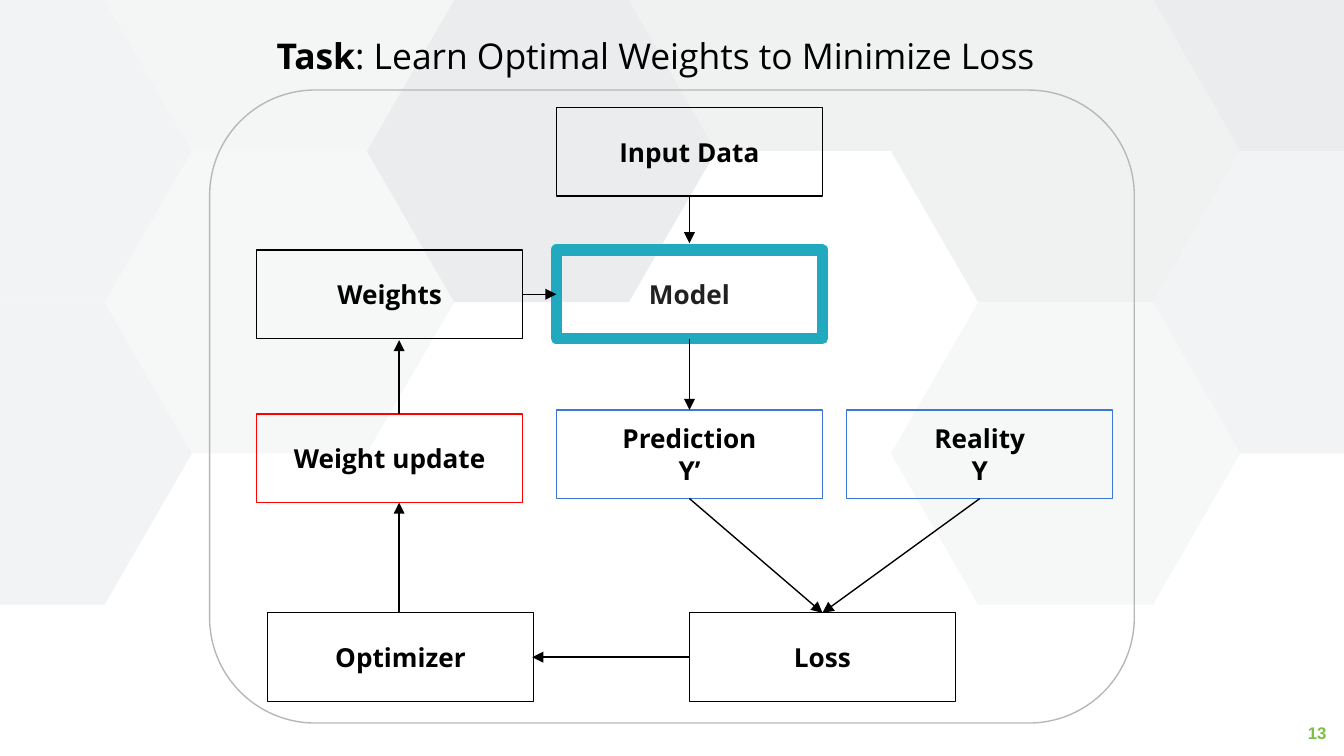
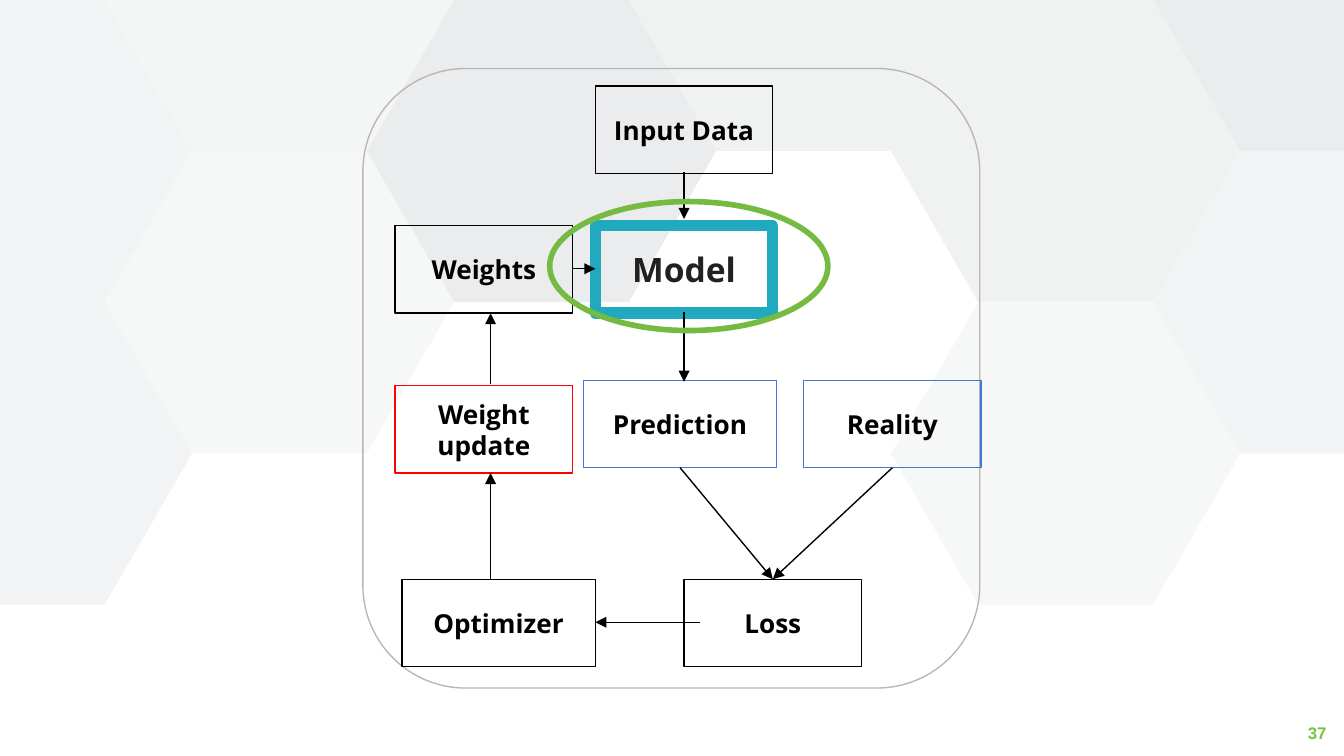
"""Build two slides that show the training loop of a model as a flow diagram."""
from dataclasses import dataclass

from lxml.etree import SubElement
from pptx import Presentation
from pptx.dml.color import RGBColor
from pptx.enum.shapes import MSO_CONNECTOR, MSO_SHAPE
from pptx.enum.text import MSO_ANCHOR, MSO_AUTO_SIZE, PP_ALIGN
from pptx.oxml.ns import qn
from pptx.util import Inches, Pt


@dataclass(frozen=True)
class Theme:
    font: str = "Open Sans"
    number_font: str = "Arial"
    black: str = "000000"
    dark: str = "212121"
    grey: str = "B7B7B7"
    teal: str = "21A9C0"
    blue: str = "3C78D8"
    red: str = "FF0000"
    green: str = "75BA41"
    number: str = "7AC143"
    title_size: float = 19
    label_size: float = 14
    big_label_size: float = 18
    number_size: float = 9
    thin: float = 0.75
    ring: float = 3
    thick: float = 6


T = Theme()
W = 10
H = W * 9 / 16
HEX_COLUMNS = [
    ("F2F3F4", "F2F3F4", "FFFFFF"),
    ("F4F5F5", "F6F7F7", "FFFFFF"),
    ("EBECED", "FFFFFF", "FFFFFF"),
    ("F0F2F2", "FFFFFF", "FFFFFF"),
    ("F0F2F2", "F6F7F7", "FFFFFF"),
    ("EBECED", "F2F3F4", "FFFFFF"),
]
HEX_LEFT, HEX_STEP, HEX_HEIGHT = 0.13, 1.95, 2.25
HEX_CORNERS = [(-1.3, 0), (-0.65, -0.5), (0.65, -0.5), (1.3, 0), (0.65, 0.5), (-0.65, 0.5)]

SLIDES = [
    {
        "number": "13",
        "title": [("Task", True), (": Learn Optimal Weights to Minimize Loss", False)],
        "panel": (1.56, 0.67, 6.88, 4.71),
        "box_height": 0.66,
        "boxes": [
            ("Input Data", 4.14, 0.8, 1.98, T.black),
            ("Model", 4.14, 1.86, 1.98, T.teal),
            ("Weights", 1.91, 1.86, 1.98, T.black),
            ("Prediction\nY’", 4.14, 3.05, 1.98, T.blue),
            ("Reality\nY", 6.3, 3.05, 1.98, T.blue),
            ("Loss", 5.13, 4.56, 1.98, T.black),
            ("Optimizer", 1.99, 4.56, 1.98, T.black),
            ("Weight update", 1.91, 3.08, 1.98, T.red),
        ],
        "model_size": T.label_size,
        "arrows": [
            (5.13, 1.46, 5.13, 1.81),
            (3.89, 2.19, 4.14, 2.19),
            (5.13, 2.52, 5.13, 3.05),
            (5.13, 3.71, 6.12, 4.56),
            (7.29, 3.71, 6.12, 4.56),
            (5.13, 4.89, 3.96, 4.89),
            (2.97, 4.56, 2.97, 3.74),
            (2.97, 3.08, 2.97, 2.53),
        ],
        "ring": None,
    },
    {
        "number": "37",
        "title": None,
        "panel": (2.7, 0.51, 4.59, 4.61),
        "box_height": 0.65,
        "boxes": [
            ("Input Data", 4.43, 0.64, 1.32, T.black),
            ("Model", 4.43, 1.68, 1.32, T.teal),
            ("Weights", 2.94, 1.68, 1.32, T.black),
            ("Prediction", 4.34, 2.83, 1.44, T.blue),
            ("Reality", 5.98, 2.83, 1.32, T.blue),
            ("Loss", 5.09, 4.31, 1.32, T.black),
            ("Optimizer", 2.99, 4.31, 1.44, T.black),
            ("Weight update", 2.94, 2.87, 1.32, T.red),
        ],
        "model_size": T.big_label_size,
        "arrows": [
            (5.09, 1.28, 5.09, 1.63),
            (4.26, 2, 4.43, 2),
            (5.09, 2.32, 5.09, 2.84),
            (5.06, 3.48, 5.75, 4.31),
            (6.64, 3.48, 5.75, 4.31),
            (5.21, 4.63, 4.43, 4.63),
            (3.65, 4.31, 3.65, 3.52),
            (3.65, 2.86, 3.65, 2.33),
        ],
        "ring": (4.09, 1.5, 2.07, 0.96),
    },
]


def add_outline(s, kind, box, color, width):
    sp = s.shapes.add_shape(kind, *[Inches(v) for v in box])
    sp.shadow.inherit = False
    sp.fill.background()
    sp.line.color.rgb = RGBColor.from_string(color)
    sp.line.width = Pt(width)
    return sp


def add_text(sp, runs, size, color, font=T.font, align=PP_ALIGN.LEFT, anchor=MSO_ANCHOR.TOP, inset=0.1):
    tf = sp.text_frame
    tf.word_wrap = True
    tf.vertical_anchor = anchor
    tf.margin_left = tf.margin_top = tf.margin_right = tf.margin_bottom = Inches(inset)
    p = tf.paragraphs[0]
    p.alignment = align
    for text, bold in runs:
        for i, line in enumerate(text.split("\n")):
            if i:
                p.add_line_break()
            r = p.add_run()
            r.text = line
            r.font.name = font
            r.font.size = Pt(size)
            r.font.bold = bold
            r.font.color.rgb = RGBColor.from_string(color)


prs = Presentation()
prs.slide_width, prs.slide_height = Inches(W), Inches(H)

for page in SLIDES:
    s = prs.slides.add_slide(prs.slide_layouts[6])

    for col, fills in enumerate(HEX_COLUMNS):
        for row, fill in enumerate(fills):
            cx = HEX_LEFT + col * HEX_STEP
            cy = (row + (0.5 if col % 2 == 0 else 0)) * HEX_HEIGHT
            pts = [
                (Inches(min(max(cx + dx, 0), W)), Inches(min(max(cy + dy * HEX_HEIGHT, 0), H)))
                for dx, dy in HEX_CORNERS
            ]
            fb = s.shapes.build_freeform(*pts[0])
            fb.add_line_segments(pts[1:], close=True)
            sp = fb.convert_to_shape()
            sp.shadow.inherit = False
            sp.fill.solid()
            sp.fill.fore_color.rgb = RGBColor.from_string(fill)
            sp.line.fill.background()

    sp = add_outline(s, MSO_SHAPE.ROUNDED_RECTANGLE, page["panel"], T.grey, T.thin)
    sp.adjustments[0] = 1 / 6

    for label, x, y, w, color in page["boxes"]:
        is_model = label == "Model"
        box = (x, y, w, page["box_height"])
        sp = add_outline(s, MSO_SHAPE.RECTANGLE, box, color, T.thick if is_model else T.thin)
        size = page["model_size"] if is_model else T.label_size
        ink = T.dark if is_model else T.black
        add_text(sp, [(label, True)], size, ink, align=PP_ALIGN.CENTER, anchor=MSO_ANCHOR.MIDDLE)

    for ends in page["arrows"]:
        cn = s.shapes.add_connector(MSO_CONNECTOR.STRAIGHT, *[Inches(v) for v in ends])
        cn.line.color.rgb = RGBColor.from_string(T.black)
        cn.line.width = Pt(T.thin)
        sp_pr = cn._element.spPr
        SubElement(sp_pr.find(qn("a:ln")), qn("a:tailEnd"), type="triangle")
        SubElement(sp_pr, qn("a:effectLst"))

    if page["ring"]:
        add_outline(s, MSO_SHAPE.OVAL, page["ring"], T.green, T.ring)

    if page["title"]:
        sp = s.shapes.add_textbox(Inches(1.96), Inches(0.15), Inches(6.09), Inches(0.52))
        add_text(sp, page["title"], T.title_size, T.black)
        sp.text_frame.auto_size = MSO_AUTO_SIZE.SHAPE_TO_FIT_TEXT

    sp = s.shapes.add_textbox(Inches(9.27), Inches(5.1), Inches(0.6), Inches(0.43))
    add_text(sp, [(page["number"], True)], T.number_size, T.number, T.number_font,
             PP_ALIGN.RIGHT, MSO_ANCHOR.BOTTOM, 0)

prs.save("out.pptx")
